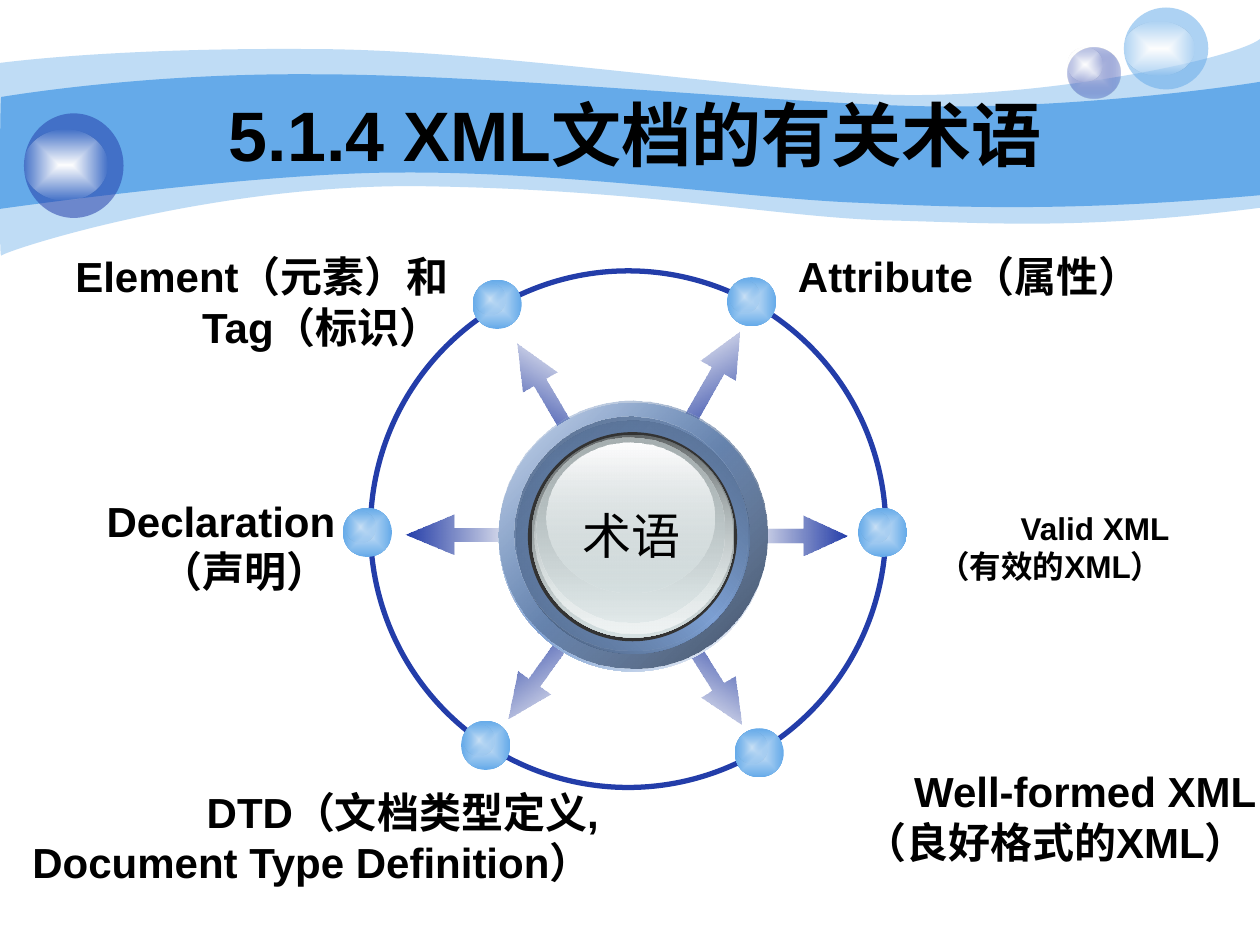
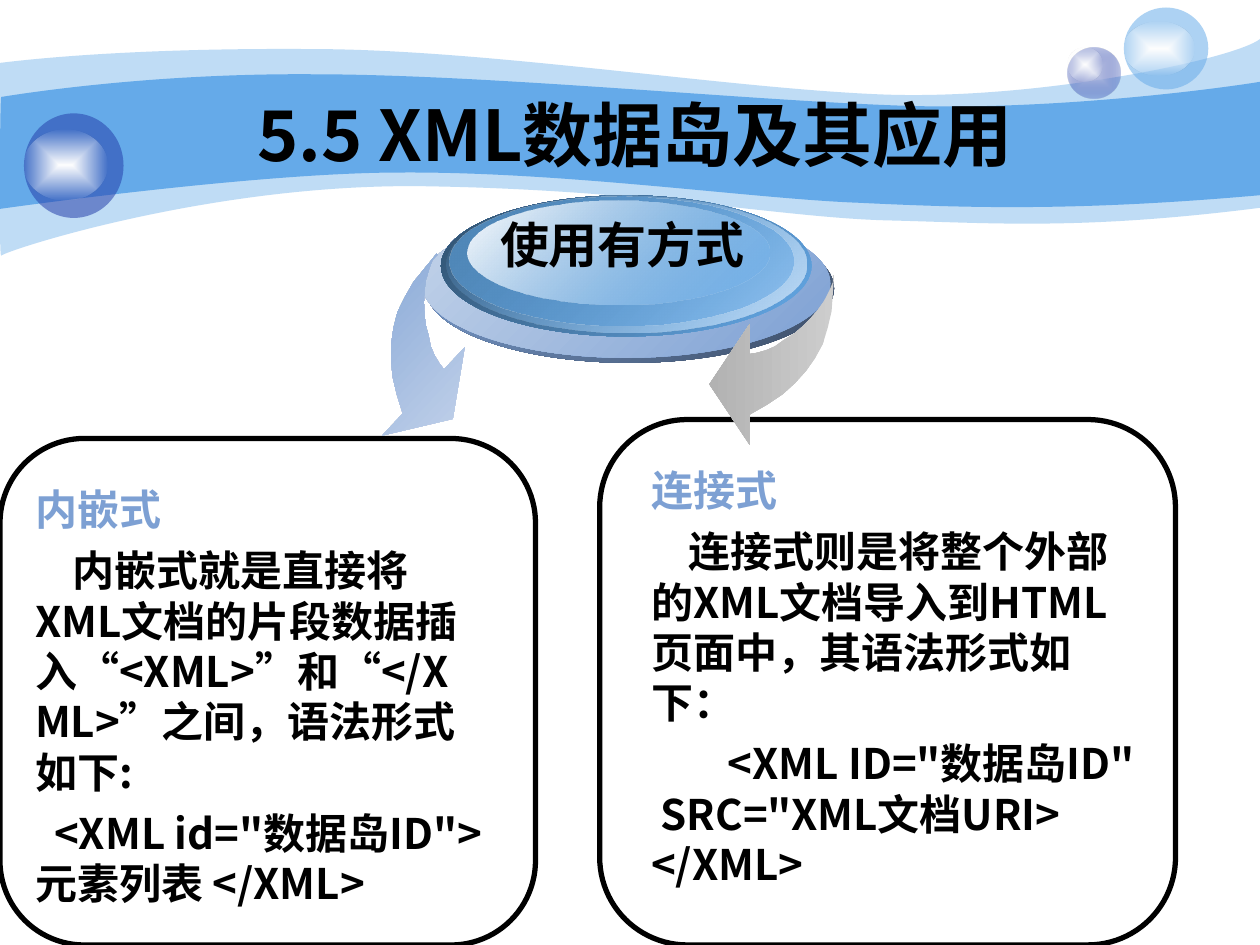
from pptx import Presentation
from pptx.dml.color import RGBColor
from pptx.enum.shapes import MSO_SHAPE
from pptx.enum.text import MSO_ANCHOR, MSO_AUTO_SIZE, PP_ALIGN
from pptx.oxml import parse_xml
from pptx.oxml.ns import nsdecls, qn
from pptx.util import Inches, Pt

OVAL, ROUND, ARROW = MSO_SHAPE.OVAL, MSO_SHAPE.ROUNDED_RECTANGLE, MSO_SHAPE.RIGHT_ARROW
LEFT, MID, RIGHT = PP_ALIGN.LEFT, PP_ALIGN.CENTER, PP_ALIGN.RIGHT
MIDDLE, FIT, FIXED = MSO_ANCHOR.MIDDLE, MSO_AUTO_SIZE.SHAPE_TO_FIT_TEXT, MSO_AUTO_SIZE.NONE


class Theme:
    sky, navy, steel = "65AAE9", "233DA9", "7DA0D3"
    pale, mist, snow, ink = "CAE1F6", "D6E1E2", "FEFEFE", "000000"
    latin, cjk = "Arial", "Noto Sans CJK SC"
    title, hub, body, small = 40, 28, 24, 18
    rule = 3


# Fills: a colour, or a (colour, opacity) pair; gradient stops are evenly spaced
def tint(stop):
    color, alpha = stop if isinstance(stop, tuple) else (stop, 100)
    return f'<a:srgbClr val="{color}"><a:alpha val="{alpha * 1000}"/></a:srgbClr>'


def solid(stop):
    return f'<a:solidFill {nsdecls("a")}>{tint(stop)}</a:solidFill>'


def grad(*stops, ang=None):
    step = 100000 // (len(stops) - 1)
    marks = "".join(f'<a:gs pos="{i * step}">{tint(s)}</a:gs>' for i, s in enumerate(stops))
    if ang is None:
        way = '<a:path path="rect"><a:fillToRect l="50000" t="50000" r="50000" b="50000"/></a:path>'
    else:
        way = f'<a:lin ang="{round(ang * 60000)}" scaled="0"/>'
    return f'<a:gradFill {nsdecls("a")} rotWithShape="0"><a:gsLst>{marks}</a:gsLst>{way}</a:gradFill>'


def paint(shape, fill=None, line=None):
    shape.shadow.inherit = False
    shape.fill.background()
    if fill:
        props = shape._element.spPr
        props.replace(props.find(qn("a:noFill")), parse_xml(fill))
    if line:
        shape.line.color.rgb = RGBColor.from_string(line)
        shape.line.width = Pt(Theme.rule)
    else:
        shape.line.fill.background()
    return shape


def draw(shapes, kind, box, fill=None, line=None):
    return paint(shapes.add_shape(kind, *map(Inches, box)), fill, line)


def stack(shapes, box, layers):
    """Ovals laid over each other, each offset from the corner of the box."""
    for dx, dy, wide, high, fill in layers:
        draw(shapes, OVAL, (box[0] + dx, box[1] + dy, wide, high), fill)


def outline(shapes, points, fill):
    grid = [(x * 1000, y * 1000) for x, y in points]
    pen = shapes.build_freeform(*grid[0], scale=Inches(1) / 1000)
    pen.add_line_segments(grid[1:], close=True)
    return paint(pen.convert_to_shape(), fill)


def wave(shapes, start, sides, fill):
    """A closed outline whose sides are cubic curves (6 numbers) or straight (2)."""
    points = [start] + [side[i:i + 2] for side in sides for i in range(0, len(side), 2)]
    shape = outline(shapes, points, fill)
    lines = iter(list(shape._element.iter(qn("a:lnTo"))))
    for side in sides:
        group = [next(lines) for _ in range(len(side) // 2)]
        if len(group) == 3:
            curve = parse_xml(f'<a:cubicBezTo {nsdecls("a")}/>')
            group[0].addprevious(curve)
            for line in group:
                curve.append(line[0])
                line.getparent().remove(line)
    return shape


# Text
def write(para, text, size, color=Theme.ink, face=Theme.latin, bold=True):
    for i, part in enumerate(text.split("\n")):
        if i:
            para.add_line_break()
        run = para.add_run()
        run.text = part
        run.font.color.rgb = RGBColor.from_string(color)
        for name, value in {"size": Pt(size), "name": face, "bold": bold}.items():
            setattr(run.font, name, value)
        props = run._r.get_or_add_rPr()
        props.set("lang", "zh-CN")
        props.append(parse_xml(f'<a:ea {nsdecls("a")} typeface="{Theme.cjk}"/>'))


def label(shapes, box, lines, align=RIGHT, wrap=False, tail=False, size=Theme.body, **look):
    frame = shapes.add_textbox(*map(Inches, box)).text_frame
    for name, value in {"word_wrap": wrap, "auto_size": FIT}.items():
        setattr(frame, name, value)
    for i, line in enumerate(lines):
        para = frame.add_paragraph() if i else frame.paragraphs[0]
        para.alignment = align
        write(para, line, size, **look)
    if tail:
        write(para, " ", Theme.small, bold=False)


def head(slide, text, face):
    title = slide.shapes.title
    for name, value in zip(("left", "top", "width", "height"), (1, 0.75, 8.08, 0.62)):
        setattr(title, name, Inches(value))
    frame = title.text_frame
    for name, value in {"word_wrap": True, "auto_size": FIXED, "vertical_anchor": MIDDLE}.items():
        setattr(frame, name, value)
    frame.paragraphs[0].alignment = MID
    write(frame.paragraphs[0], text, Theme.title, face=face)


# Shared backdrop: waves and bubbles, kept in the layout
WAVES = [
    ((0, 0.5), [(0.24, 0.47, 1.07, 0.38, 2.47, 0.39), (3.86, 0.39, 5.75, 0.7, 6.99, 0.75),
                (8.22, 0.8, 9.8, 0.47, 10, 0.31), (10, 1.65),
                (8.58, 1.83, 7.87, 1.77, 7.05, 1.75), (6.22, 1.73, 5.15, 1.51, 3.43, 1.48),
                (1.72, 1.44, 0.04, 1.99, 0.01, 2.03), (-0.01, 2.08, 0, 0.75, 0, 0.5)], 41),
    ((0.01, 0.77), [(0.02, 0.77, 1.1, 0.58, 2.48, 0.59), (3.86, 0.59, 5.95, 0.8, 7.18, 0.84),
                    (8.41, 0.88, 9.76, 0.69, 10, 0.65), (10, 1.55),
                    (8.53, 1.68, 7.65, 1.65, 6.82, 1.61), (5.99, 1.58, 4.47, 1.36, 3.17, 1.37),
                    (2.03, 1.37, -0.02, 1.66, -0.01, 1.66), (0, 1.66, 0, 0.77, 0.01, 0.77)], 100),
]


def backdrop(slide):
    shapes = slide.shapes
    parts = [wave(shapes, start, sides, solid((Theme.sky, alpha))) for start, sides, alpha in WAVES]
    shine = grad("FFFFFF", (Theme.snow, 0))
    for box, fill, glow in [
        ((8.47, 0.38, 0.42, 0.4), grad("C6CCE8", (Theme.navy, 31)), (0, 0.28, 0.27)),
        ((8.92, 0.06, 0.67, 0.65), solid((Theme.sky, 53)), (0.11, 0.56, 0.43)),
        ((0.19, 0.9, 0.79, 0.83), solid((Theme.navy, 53)), (0.13, 0.66, 0.56)),
    ]:
        x, y = box[:2]
        drop, wide, high = glow
        parts += [draw(shapes, OVAL, box, fill), draw(shapes, OVAL, (x, y + drop, wide, high), shine)]
    tree = slide.slide_layout.shapes._spTree
    for i, part in enumerate(parts):
        part._element.nvSpPr.cNvPr.set("id", str(100 + i))
        tree.insert(2 + i, part._element)


# Slide 1: terms on a ring around a hub
def spoke(shapes, x, y, wide, turn):
    fill = grad(Theme.navy, ("1F3695", 0), ang=(180 - turn) % 360)
    arrow = draw(shapes, ARROW, (x, y, wide, 0.32), fill)
    arrow.rotation = turn
    arrow.adjustments[0], arrow.adjustments[1] = 0.35, 1.11 * wide / 0.87


def hub(shapes, box):
    steel, mist, snow = Theme.steel, Theme.mist, Theme.snow
    stack(shapes, box, [
        (0, 0.02, 2.13, 2.13, grad(snow, steel, snow, ang=225)),
        (0, 0, 2.13, 2.13, grad("394961", (steel, 32), ang=225)),
        (0.14, 0.16, 1.85, 1.85, grad("435671", steel, "435671", ang=135)),
        (0.12, 0.13, 1.85, 1.85, grad((steel, 0), "4F6585", ang=225)),
        (0.23, 0.25, 1.66, 1.66, solid("333333")),
        (0.26, 0.27, 1.61, 1.61, grad("626768", mist, ang=90)),
        (0.28, 0.28, 1.57, 1.57, grad((mist, 0), "EFF3F3", ang=90)),
        (0.3, 0.29, 1.49, 1.47, grad("A8B1B2", (mist, 48), ang=90)),
        (0.38, 0.33, 1.33, 1.19, grad(snow, (mist, 38), ang=90)),
    ])
    label(shapes, (box[0] + 0.54, box[1] + 0.78, 1.03, 0.57), ["术语"],
          align=MID, size=Theme.hub, bold=False)


def terms(slide):
    shapes = slide.shapes
    head(slide, "5.1.4 XML文档的有关术语", Theme.latin)
    for arrow in [(5.22, 2.85, 0.87, 299.6), (5.22, 5.22, 0.87, 57.8), (3.89, 2.94, 0.87, 239.5),
                  (3.85, 5.19, 0.87, 125.6), (5.86, 4.09, 0.87, 0), (3.22, 4.08, 0.94, 180)]:
        spoke(shapes, *arrow)
    draw(shapes, OVAL, (2.94, 2.15, 4.09, 4.1), line=Theme.navy)
    for node in [(3.75, 2.22), (2.72, 4.03), (3.66, 5.72), (5.77, 2.2), (6.81, 4.03), (5.83, 5.78)]:
        stack(shapes, node, [(0, 0, 0.39, 0.39, grad(Theme.pale, Theme.sky)),
                             (0.02, 0.03, 0.24, 0.25, grad(Theme.pale, (Theme.sky, 0)))])
    hub(shapes, (3.96, 3.18, 2.13, 2.13))
    label(shapes, (0.43, 1.94, 3.23, 0.9), ["Element（元素）和Tag（标识）"], wrap=True, tail=True)
    label(shapes, (0.7, 3.88, 2.06, 0.9), ["Declaration", "（声明）"], tail=True)
    label(shapes, (6.15, 1.94, 3.06, 0.5), ["Attribute（属性）"], tail=True)
    label(shapes, (-0.28, 6.19, 5.13, 0.9), ["DTD（文档类型定义,", "Document Type Definition）"],
          wrap=True, tail=True)
    label(shapes, (6.6, 6.03, 3.47, 0.9), ["Well-formed XML", "（良好格式的XML） "])
    label(shapes, (7.23, 3.99, 2.15, 0.7), ["Valid XML", "（有效的XML） "], size=Theme.small)


# Slide 2: two ways to use a data island
HOOK = [
    (6.62, 2.18), (6.61, 2.33), (6.6, 2.47), (6.57, 2.6), (6.53, 2.73), (6.47, 2.84), (6.4, 2.94),
    (6.31, 3.04), (6.21, 3.13), (6.09, 3.21), (5.95, 3.29), (5.95, 3.53), (5.63, 3.05),
    (5.95, 2.57), (5.95, 2.81), (6.01, 2.8), (6.08, 2.78), (6.15, 2.75), (6.22, 2.7), (6.3, 2.65),
    (6.37, 2.59), (6.43, 2.53), (6.49, 2.46), (6.54, 2.39), (6.58, 2.31), (6.61, 2.24), (6.61, 2.18),
]


def hooks(shapes):
    """A hook on the right, and its mirror image turned on the left."""
    outline(shapes, HOOK, grad("CDCDCD", "B2B2B2", ang=180))
    mirror = [(2.87 + 6.62 - x, y - 0.01) for x, y in HOOK]
    twin = outline(shapes, mirror, grad("D4DFF0", Theme.steel, ang=223))
    twin.rotation = 43.1


def disc(shapes, box):
    sky, steel = Theme.sky, Theme.steel
    stack(shapes, box, [
        (0.03, 0.15, 3.24, 1.18, grad("3C4D66", steel, ang=225)),
        (0, 0.11, 3.24, 1.18, grad(steel, "C4D4EA", ang=225)),
        (0.15, 0, 2.94, 1.12, grad(sky, "2E4E6B", ang=225)),
        (0.19, 0, 2.86, 1.09, grad("C8E0F6", (sky, 0), ang=225)),
        (0.22, 0.01, 2.73, 1.02, grad((sky, 48), "4F86B7", ang=225)),
        (0.36, 0.04, 2.4, 0.83, grad((sky, 38), Theme.snow, ang=225)),
    ])
    label(shapes, (box[0] + 0.52, box[1] + 0.1, 2.14, 0.57), ["使用有方式"],
          align=MID, size=Theme.hub, face=Theme.cjk)


def card(shapes, box, inset, wide, name, text, code):
    draw(shapes, ROUND, box, line=Theme.ink)
    x, y, _, high = box
    area = (x + inset, y + 0.31, wide, high - 0.31)
    frame = shapes.add_textbox(*map(Inches, area)).text_frame
    frame.word_wrap = True
    for i, (line, color) in enumerate([(name, Theme.steel), (text, Theme.ink), (code, Theme.ink)]):
        para = frame.add_paragraph() if i else frame.paragraphs[0]
        para.alignment = LEFT
        props = para._p.get_or_add_pPr()
        props.set("hangingPunct", "0")
        if i:
            para.space_before = Pt(6)
        if line is text:
            props.set("indent", str(Inches(0.3)))
        write(para, line, Theme.body, color, Theme.cjk)


def island(slide):
    shapes = slide.shapes
    head(slide, "5.5 XML数据岛及其应用", Theme.cjk)
    disc(shapes, (3.35, 1.55, 3.27, 1.33))
    card(shapes, (0, 3.48, 4.25, 4.02), 0.18, 3.79, "内嵌式",
         "内嵌式就是直接将XML文档的片段数据插入“<XML>”和“</X\nML>”之间，语法形式如下:",
         '  <XML id="数据岛ID"> 元素列表 </XML>')
    card(shapes, (4.76, 3.33, 4.57, 4.17), 0.31, 4.07, "连接式",
         "连接式则是将整个外部的XML文档导入到HTML页面中，其语法形式如下：",
         '        <XML ID="数据岛ID"  SRC="XML文档URI> </XML>')
    hooks(shapes)


def main():
    deck = Presentation()
    deck.slide_width, deck.slide_height = Inches(10), Inches(7.5)
    plain = deck.slide_layouts[5]
    pages = [deck.slides.add_slide(plain) for _ in range(2)]
    backdrop(pages[0])
    terms(pages[0])
    island(pages[1])
    deck.save("out.pptx")


if __name__ == "__main__":
    main()
